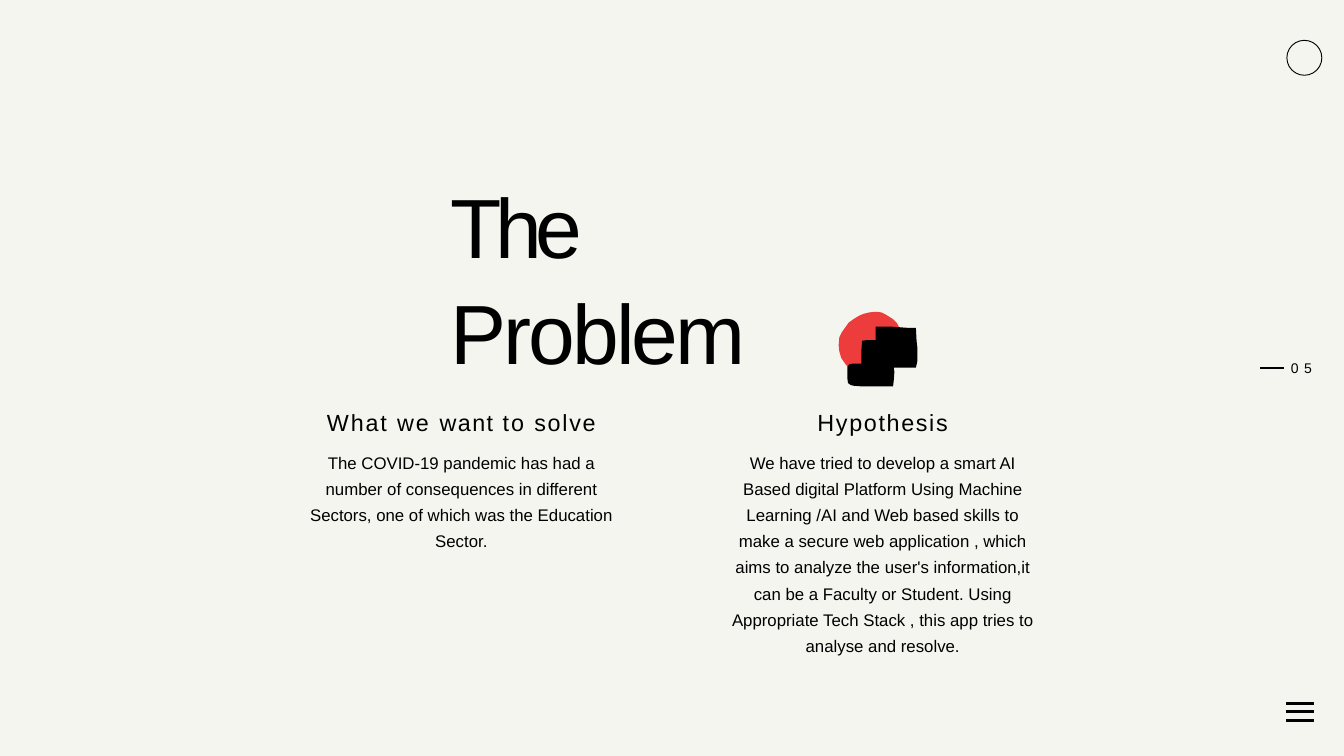
from pptx import Presentation
from pptx.dml.color import RGBColor
from pptx.enum.shapes import MSO_CONNECTOR, MSO_SHAPE
from pptx.enum.text import MSO_AUTO_SIZE, PP_ALIGN
from pptx.oxml.ns import qn
from pptx.util import Inches, Pt
from lxml import etree

COLORS = {"paper": "F5F5EF", "ink": "000000", "red": "EC3C3C"}
FONT = "Arial"

# Content: each run is (text, letter spacing in points)
TITLE = [("The ", -7), ("Problem", -3.1)]
PAGE_NUMBER = [("0", 5.9), ("5", 2.5)]
COLUMNS = [
    {
        "box": (4.52, 6.05, 4.69, 2.09),
        "heading": [("What ", 2), ("we ", 2.2), ("want ", 1.6), ("to", 2.1), (" solve", 1.9)],
        "body": "The COVID-19 pandemic has had a number of consequences in different "
                "Sectors, one of which was the Education Sector.",
    },
    {
        "box": (10.78, 6.05, 4.71, 3.59),
        "heading": [("Hypothesis", 1.8)],
        "body": "We have tried to develop a smart AI Based digital Platform Using Machine "
                "Learning /AI and Web based skills to make a secure web application , which "
                "aims to analyze the user's information,it can be a Faculty or Student. Using "
                "Appropriate Tech Stack , this app tries to analyse and resolve.",
    },
]

# Lines: left, top, length, width in points
PAGE_DASH = (18.75, 5.47, 0.35, 2.25)
MENU_BARS = [(19.14, 10.47, 0.42, 3.55), (19.14, 10.59, 0.42, 3.55), (19.14, 10.72, 0.42, 3.23)]

# Outlines of the red disc and the black brush strokes
RED_DISC = [
    (12.93, 5.63), (12.85, 5.62), (12.76, 5.59), (12.68, 5.53), (12.59, 5.43), (12.52, 5.33),
    (12.49, 5.23), (12.48, 5.14), (12.49, 5.02), (12.53, 4.94), (12.58, 4.87), (12.63, 4.8),
    (12.7, 4.75), (12.78, 4.7), (12.85, 4.67), (12.93, 4.65), (13.01, 4.64), (13.05, 4.64),
    (13.12, 4.65), (13.18, 4.68), (13.29, 4.75), (13.35, 4.81), (13.4, 4.91), (13.43, 5.03),
    (13.43, 5.19), (13.41, 5.29), (13.37, 5.38), (13.31, 5.45), (13.22, 5.53), (13.09, 5.6),
    (13.01, 5.63),
]
BRUSH_STROKES = [
    (13.03, 4.86), (13.25, 4.86), (13.52, 4.88), (13.63, 4.88), (13.64, 5.07), (13.65, 5.16),
    (13.65, 5.38), (13.63, 5.47), (13.3, 5.47), (13.31, 5.53), (13.3, 5.67), (13.29, 5.75),
    (12.83, 5.75), (12.7, 5.74), (12.66, 5.73), (12.62, 5.7), (12.61, 5.63), (12.61, 5.46),
    (12.64, 5.42), (12.7, 5.41), (12.82, 5.41), (12.82, 5.2), (12.83, 5.07), (12.92, 5.06),
    (13.03, 5.06),
]


def color(name):
    return RGBColor.from_string(COLORS[name])


def add_text(slide, box, paragraphs, right_inset=0):
    shape = slide.shapes.add_textbox(*map(Inches, box))
    frame = shape.text_frame
    frame.word_wrap = True
    frame.auto_size = MSO_AUTO_SIZE.SHAPE_TO_FIT_TEXT
    frame.margin_left = frame.margin_bottom = 0
    frame.margin_top = Inches(0.02)
    frame.margin_right = Inches(right_inset)
    for index, options in enumerate(paragraphs):
        paragraph = frame.paragraphs[0] if index == 0 else frame.add_paragraph()
        format_paragraph(paragraph, **options)


def format_paragraph(paragraph, runs, size, align=PP_ALIGN.LEFT, line_spacing=1.0, before=0):
    paragraph.alignment = align
    paragraph.line_spacing = line_spacing
    paragraph.space_before = Pt(before)
    for text, spacing in runs:
        run = paragraph.add_run()
        run.text = text
        run.font.name = FONT
        run.font.size = Pt(size)
        run.font.color.rgb = color("ink")
        run._r.get_or_add_rPr().set("spc", str(round(spacing * 100)))


def add_line(slide, left, top, length, width):
    line = slide.shapes.add_connector(
        MSO_CONNECTOR.STRAIGHT, Inches(left), Inches(top), Inches(left + length), Inches(top))
    line.line.color.rgb = color("ink")
    line.line.width = Pt(width)
    etree.SubElement(line._element.spPr, qn("a:effectLst"))


def add_outline(slide, points, fill):
    corners = [(Inches(x), Inches(y)) for x, y in points]
    builder = slide.shapes.build_freeform(*corners[0])
    builder.add_line_segments(corners[1:], close=True)
    shape = builder.convert_to_shape()
    shape.shadow.inherit = False
    shape.fill.solid()
    shape.fill.fore_color.rgb = color(fill)
    shape.line.fill.background()


def main():
    presentation = Presentation()
    presentation.slide_width = Inches(20)
    presentation.slide_height = Inches(11.25)
    slide = presentation.slides.add_slide(presentation.slide_layouts[6])
    slide.background.fill.solid()
    slide.background.fill.fore_color.rgb = color("paper")

    # Ring in the corner
    ring = slide.shapes.add_shape(
        MSO_SHAPE.OVAL, Inches(19.15), Inches(0.6), Inches(0.52), Inches(0.52))
    ring.shadow.inherit = False
    ring.fill.background()
    ring.line.color.rgb = color("ink")
    ring.line.width = Pt(1)

    # Page number, menu bars and brush art
    add_text(slide, (19.21, 5.33, 0.38, 0.28), [{"runs": PAGE_NUMBER, "size": 15}])
    for line in [PAGE_DASH, *MENU_BARS]:
        add_line(slide, *line)
    add_outline(slide, RED_DISC, "red")
    add_outline(slide, BRUSH_STROKES, "ink")

    # Title, kept on two lines by its right inset
    add_text(slide, (6.7, 2.5, 6.59, 1.53),
             [{"runs": TITLE, "size": 90, "line_spacing": 1.05}], right_inset=1)

    # Two text columns
    for column in COLUMNS:
        add_text(slide, column["box"], [
            {"runs": column["heading"], "size": 25, "align": PP_ALIGN.CENTER},
            {"runs": [(column["body"], 0)], "size": 18, "align": PP_ALIGN.CENTER,
             "line_spacing": 1.3, "before": 11.2},
        ])

    presentation.save("out.pptx")


if __name__ == "__main__":
    main()
